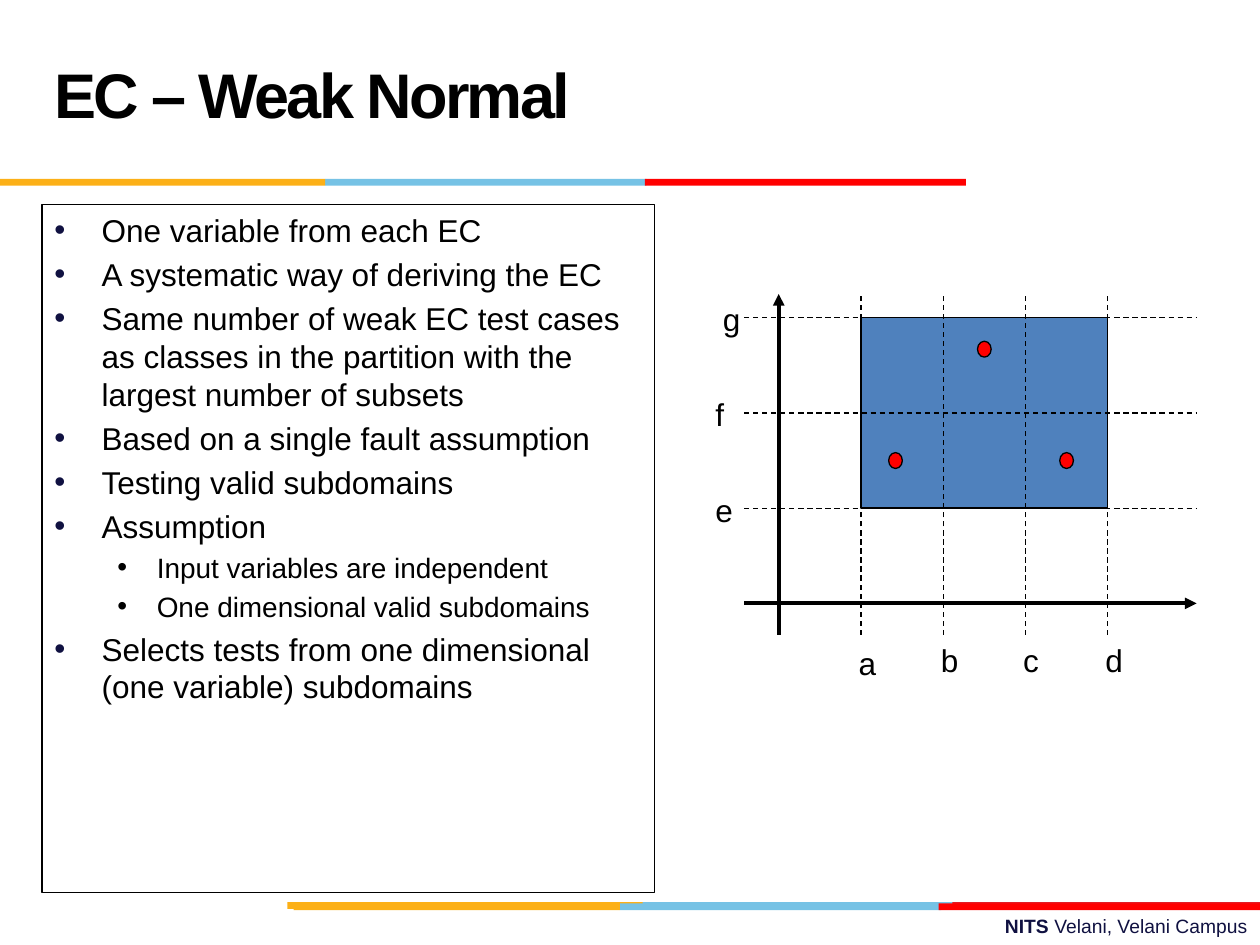
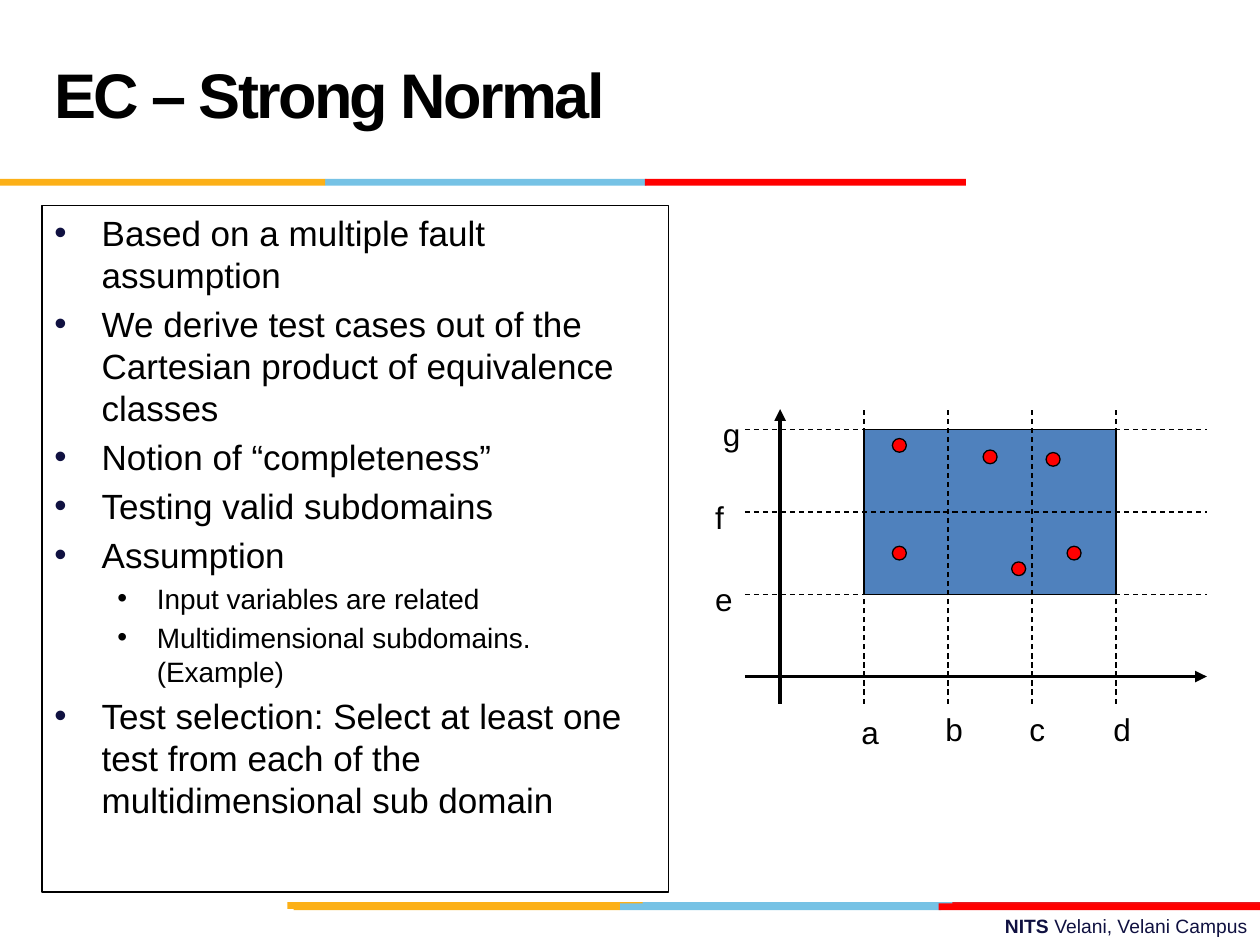
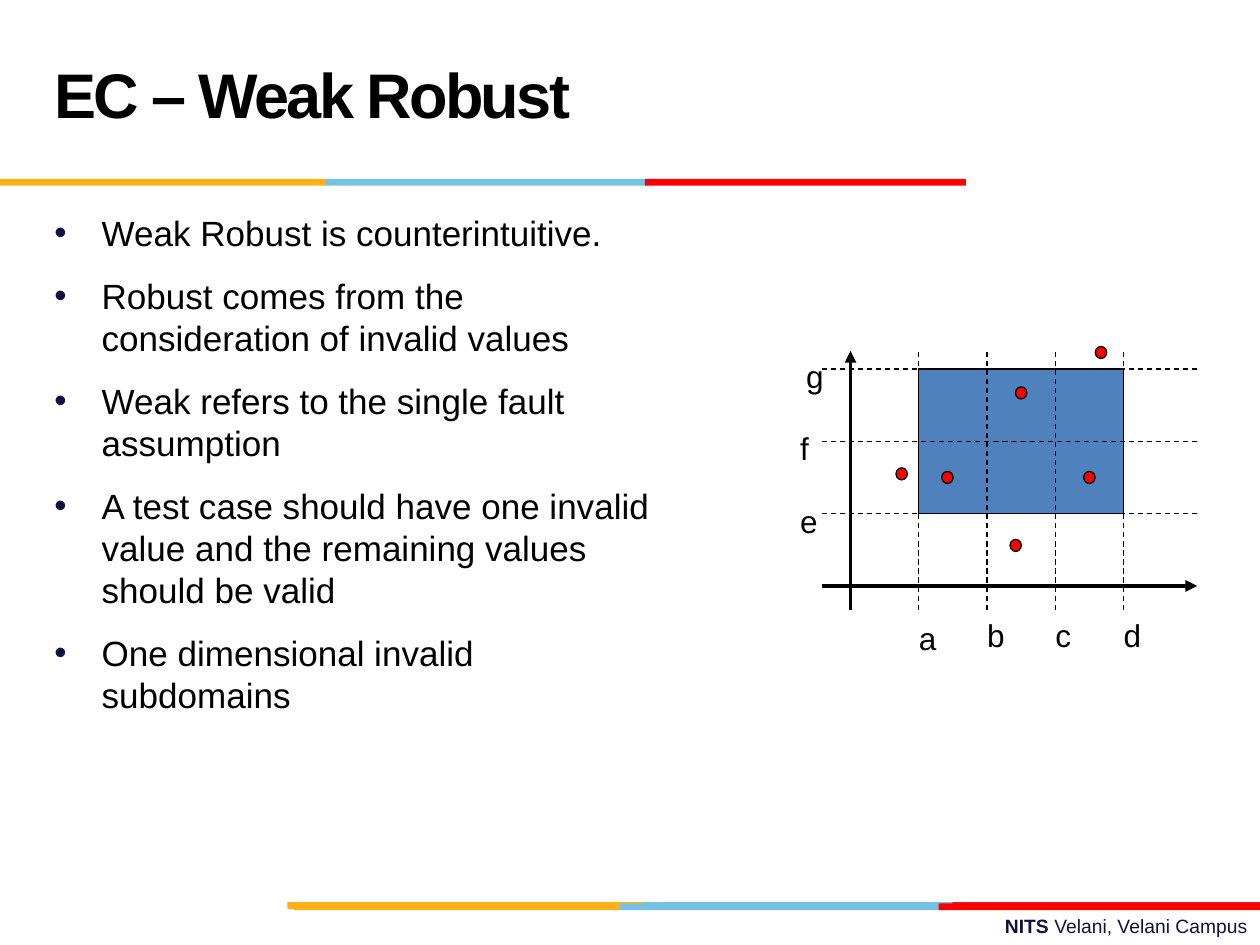
"""Build three slides on equivalence class testing, each with a plotted domain."""
from dataclasses import dataclass

from lxml.etree import SubElement
from pptx import Presentation
from pptx.dml.color import RGBColor as Rgb
from pptx.enum.dml import MSO_LINE
from pptx.enum.shapes import MSO_CONNECTOR, MSO_SHAPE
from pptx.enum.text import MSO_ANCHOR, PP_ALIGN
from pptx.oxml.ns import qn
from pptx.util import Pt


@dataclass(frozen=True)
class Theme:
    """Colours, font and type sizes of the deck."""
    font: str = "Arial"
    ink: str = "000000"
    navy: str = "101141"
    paper: str = "FFFFFF"
    amber: str = "FCB017"
    sky: str = "76C2E5"
    crimson: str = "E31C24"
    red: str = "FF0000"
    domain: str = "4F81BD"
    title_size: int = 36
    label_size: int = 18
    detail_size: int = 16
    footer_size: int = 11
    hairline: float = 0.75
    axis_line: float = 2.25


@dataclass(frozen=True)
class Plot:
    """Grid of a domain plot: origin and step in points, tests in grid units."""
    origin_x: float
    origin_y: float
    step_x: float
    step_y: float
    tests: tuple

    def x(self, column):
        """Return the horizontal place of a grid column."""
        return self.origin_x + column * self.step_x

    def y(self, row):
        """Return the vertical place of a grid row."""
        return self.origin_y - row * self.step_y


@dataclass(frozen=True)
class Topic:
    """Content of one slide; a point is a text and its level."""
    title: str
    points: tuple
    body_box: tuple
    body_size: int
    plot: Plot
    framed: bool = True
    gap: float = 0


THEME = Theme()
BAND_HEIGHT = 3.9
BANDS = (
    (364.3, 515.5, 183.6, THEME.sky),
    (544.3, 515.5, 175.7, THEME.crimson),
    (164.2, 515.5, 203, THEME.amber),
    (354.2, 516.2, 183.6, THEME.sky),
    (167.8, 516.2, 186.4, THEME.amber),
    (536.4, 516.2, 183.6, THEME.red),
    (185.8, 102.2, 183.6, THEME.sky),
    (0, 102.2, 185.8, THEME.amber),
    (368.6, 102.2, 183.4, THEME.red),
)
LEFT, RIGHT, TOP, BOTTOM = -0.42, 5.08, 3.25, -0.33

TOPICS = (
    Topic(
        "EC – Weak Normal",
        (
            ("One variable from each EC", 0),
            ("A systematic way of deriving the EC", 0),
            ("Same number of weak EC test cases as classes in the partition "
             "with the largest number of subsets", 0),
            ("Based on a single fault assumption", 0),
            ("Testing valid subdomains", 0),
            ("Assumption", 0),
            ("Input variables are independent", 1),
            ("One dimensional valid subdomains", 1),
            ("Selects tests from one dimensional (one variable) subdomains", 0),
        ),
        (24, 117, 350, 393), 18,
        Plot(445, 344.8, 47, 54.4, ((1.42, 1.5), (2.5, 2.67), (3.5, 1.5))),
    ),
    Topic(
        "EC – Strong Normal",
        (
            ("Based on a multiple fault assumption", 0),
            ("We derive test cases out of the Cartesian product of "
             "equivalence classes", 0),
            ("Notion of “completeness”", 0),
            ("Testing valid subdomains", 0),
            ("Assumption", 0),
            ("Input variables are related", 1),
            ("Multidimensional subdomains. (Example)", 1),
            ("Test selection: Select at least one test from each of the "
             "multidimensional sub domain", 0),
        ),
        (24, 117.4, 358, 392.4), 20,
        Plot(445.8, 386.6, 48, 47,
             ((1.42, 1.5), (2.5, 2.67), (3.5, 1.5),
              (1.42, 2.81), (2.84, 1.31), (3.25, 2.64))),
    ),
    Topic(
        "EC – Weak Robust",
        (
            ("Weak Robust is counterintuitive.", 0),
            ("Robust comes from the consideration of invalid values", 0),
            ("Weak refers to the single fault assumption", 0),
            ("A test case should have one invalid value and the remaining "
             "values should be valid", 0),
            ("One dimensional invalid subdomains", 0),
        ),
        (24, 117.4, 364, 386.6), 20,
        Plot(486, 334.8, 39, 41.3,
             ((1.42, 1.5), (2.5, 2.67), (3.5, 1.5),
              (3.67, 3.23), (2.42, 0.56), (0.75, 1.55))),
        framed=False, gap=12,
    ),
)


def add_run(paragraph, text, size, color=THEME.ink, bold=False):
    """Append a styled run and return it."""
    run = paragraph.add_run()
    run.text = text
    run.font.name = THEME.font
    run.font.size = Pt(size)
    run.font.bold = bold
    run.font.color.rgb = Rgb.from_string(color)
    return run


def add_text_frame(slide, box, wrap=True):
    """Add a text box and return it with its first paragraph."""
    holder = slide.shapes.add_textbox(*map(Pt, box))
    holder.text_frame.word_wrap = wrap
    return holder, holder.text_frame.paragraphs[0]


def add_solid(slide, kind, box, color, outlined=False):
    """Add a flat filled shape."""
    solid = slide.shapes.add_shape(kind, *map(Pt, box))
    solid.shadow.inherit = False
    solid.fill.solid()
    solid.fill.fore_color.rgb = Rgb.from_string(color)
    if outlined:
        outline(solid)
    else:
        solid.line.fill.background()


def outline(shape, width=THEME.hairline):
    """Draw a line in ink along a shape or connector."""
    shape.line.color.rgb = Rgb.from_string(THEME.ink)
    shape.line.width = Pt(width)


def add_line(slide, start, end, arrow=False):
    """Add an axis with an arrowhead, or a dashed grid line."""
    line = slide.shapes.add_connector(
        MSO_CONNECTOR.STRAIGHT, *map(Pt, (*start, *end)))
    outline(line, THEME.axis_line if arrow else THEME.hairline)
    if arrow:
        SubElement(line.line._get_or_add_ln(), qn("a:tailEnd"), type="triangle")
    else:
        line.line.dash_style = MSO_LINE.DASH
    SubElement(line._element.spPr, qn("a:effectLst"))


def add_label(slide, text, left, top):
    """Add a one-letter grid label."""
    _, paragraph = add_text_frame(slide, (left, top, 25, 28), wrap=False)
    add_run(paragraph, text, THEME.label_size)


def set_bullet(paragraph, level):
    """Give a paragraph its indents and bullet."""
    props = paragraph._p.get_or_add_pPr()
    margin, hanging = ((27, 27), (58.5, 22.5))[level]
    props.set("marL", str(Pt(margin)))
    props.set("indent", str(-Pt(hanging)))
    color = SubElement(props, qn("a:buClr"))
    SubElement(color, qn("a:srgbClr"), val=(THEME.navy, THEME.ink)[level])
    SubElement(props, qn("a:buFont"), typeface=THEME.font)
    SubElement(props, qn("a:buChar"), char="•")


def add_frame(slide):
    """Add the colour bands and the footer."""
    _, footer = add_text_frame(slide, (258, 519, 462, 21))
    footer.alignment = PP_ALIGN.RIGHT
    add_run(footer, "NITS ", THEME.footer_size, THEME.navy, bold=True)
    add_run(footer, "Velani, Velani Campus", THEME.footer_size, THEME.navy)
    for left, top, width, color in BANDS:
        add_solid(slide, MSO_SHAPE.RECTANGLE,
                  (left, top, width, BAND_HEIGHT), color)


def add_title(slide, text):
    """Add the slide title."""
    holder, paragraph = add_text_frame(slide, (24, 12, 498, 90))
    holder.text_frame.vertical_anchor = MSO_ANCHOR.MIDDLE
    paragraph.line_spacing = Pt(THEME.title_size)
    run = add_run(paragraph, text, THEME.title_size, bold=True)
    run.font._element.set("spc", "-150")


def add_body(slide, topic):
    """Add the bulleted points of a topic."""
    holder, paragraph = add_text_frame(slide, topic.body_box)
    if topic.framed:
        holder.fill.solid()
        holder.fill.fore_color.rgb = Rgb.from_string(THEME.paper)
        outline(holder)
    for index, (text, level) in enumerate(topic.points):
        if index:
            paragraph = holder.text_frame.add_paragraph()
        size = THEME.detail_size if level else topic.body_size
        paragraph.level = level
        paragraph.space_before = Pt(topic.gap or 0.2 * size)
        set_bullet(paragraph, level)
        add_run(paragraph, text, size)


def add_plot(slide, plot):
    """Add the valid domain, axes, grid lines, labels and test points."""
    left, right = plot.x(LEFT), plot.x(RIGHT)
    top, bottom = plot.y(TOP), plot.y(BOTTOM)
    add_solid(slide, MSO_SHAPE.RECTANGLE,
              (plot.x(1), plot.y(3), 3 * plot.step_x, 2 * plot.step_y),
              THEME.domain, outlined=True)
    for column in range(5):
        add_line(slide, (plot.x(column), bottom), (plot.x(column), top),
                 arrow=column == 0)
    for row in range(4):
        add_line(slide, (left, plot.y(row)), (right, plot.y(row)),
                 arrow=row == 0)
    for column, letter in enumerate("abcd", 1):
        drop = 2 if letter == "a" else 0
        add_label(slide, letter, plot.x(column - 0.18), bottom + drop)
    for row, letter in enumerate("efg", 1):
        shift = 0.41 if letter == "g" else 0.5
        add_label(slide, letter, plot.x(LEFT - shift), plot.y(row + 0.25))
    width, height = plot.step_x / 6, plot.step_y / 6
    for column, row in plot.tests:
        add_solid(slide, MSO_SHAPE.OVAL,
                  (plot.x(column) - width / 2, plot.y(row) - height / 2,
                   width, height), THEME.red, outlined=True)


def main():
    """Build and save the deck."""
    deck = Presentation()
    deck.slide_width, deck.slide_height = Pt(720), Pt(540)
    blank = deck.slide_layouts[6]
    for topic in TOPICS:
        slide = deck.slides.add_slide(blank)
        add_frame(slide)
        add_body(slide, topic)
        add_title(slide, topic.title)
        add_plot(slide, topic.plot)
    deck.save("out.pptx")


if __name__ == "__main__":
    main()
